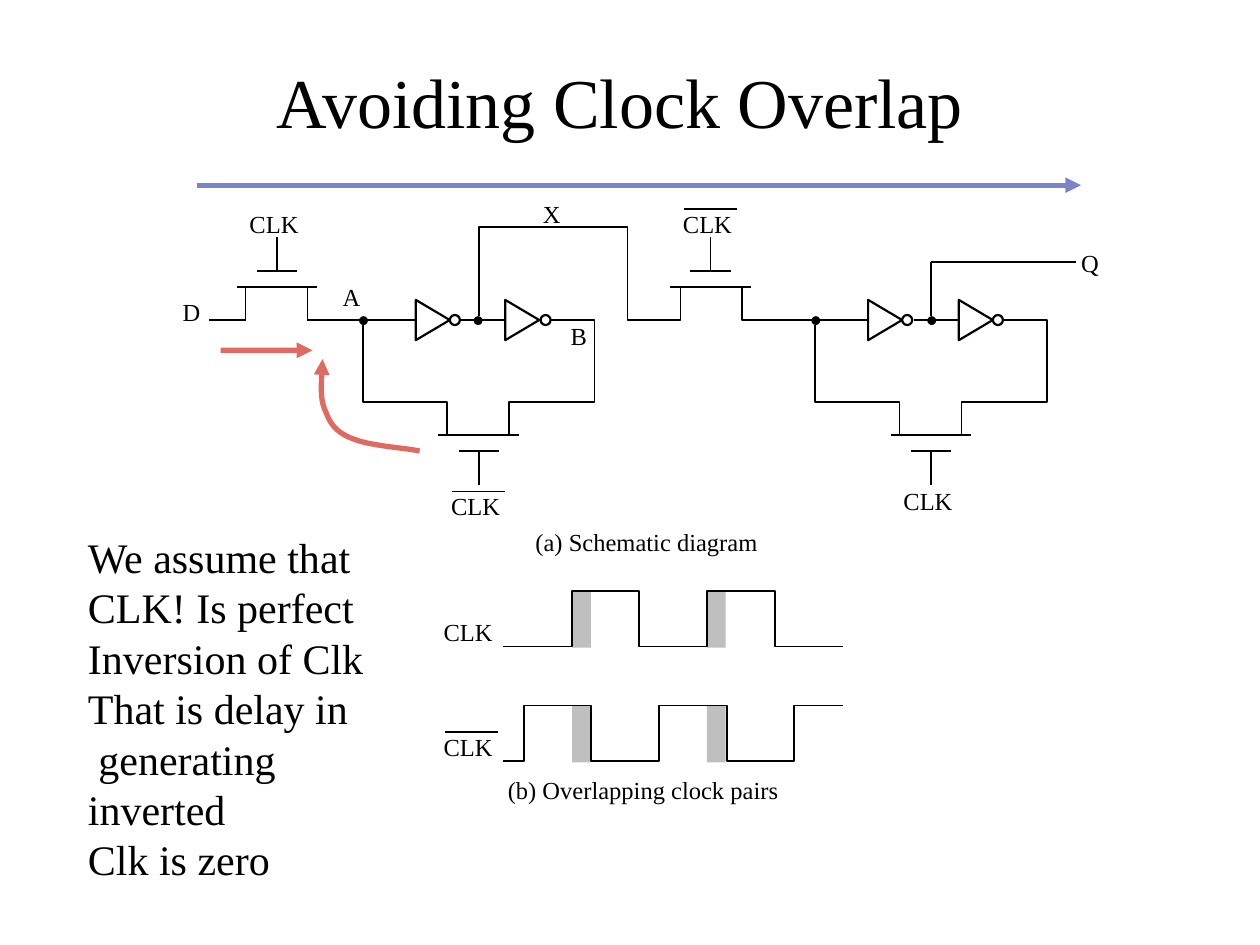
"""Build the slide on avoiding clock overlap in a two-latch register."""
from lxml import etree
from pptx import Presentation
from pptx import util as u
from pptx.dml.color import RGBColor
from pptx.enum import shapes, text
from pptx.oxml.ns import qn

PX = 9144
BLACK, WHITE, GREY, RED, BLUE = "000000", "FFFFFF", "BFBFBF", "D01608", "7B84C6"
THIN, THICK, BOLD = 0.88, 1.25, 3

prs = Presentation()
prs.slide_width, prs.slide_height = 1000 * PX, 750 * PX
s = prs.slides.add_slide(prs.slide_layouts[6])


def paint(sp, fill=None, line=None, width=THIN, alpha=None, arrow=False):
    if hasattr(sp, "fill"):
        if fill:
            sp.fill.solid()
            sp.fill.fore_color.rgb = RGBColor.from_string(fill)
        else:
            sp.fill.background()
    if line:
        sp.line.color.rgb = RGBColor.from_string(line)
        sp.line.width = u.Pt(width)
    else:
        sp.line.fill.background()
    ln = sp.element.spPr.find(qn("a:ln"))
    if alpha:
        etree.SubElement(ln.find(".//" + qn("a:srgbClr")), qn("a:alpha"), val=str(alpha * 1000))
    if arrow:
        etree.SubElement(ln, qn("a:tailEnd"), type="triangle")
    etree.SubElement(sp.element.spPr, qn("a:effectLst"))


def write(words, x, y, w, h, size=14, inset=(0, 0), wrap=False,
          align=text.PP_ALIGN.LEFT, anchor=text.MSO_ANCHOR.TOP):
    tf = s.shapes.add_textbox(x * PX, y * PX, w * PX, h * PX).text_frame
    tf.word_wrap, tf.vertical_anchor = wrap, anchor
    tf.margin_left = tf.margin_right = inset[0] * PX
    tf.margin_top = tf.margin_bottom = inset[1] * PX
    for i, row in enumerate(words.split("\n")):
        p = tf.add_paragraph() if i else tf.paragraphs[0]
        p.alignment = align
        r = p.add_run()
        r.text = row
        r.font.size, r.font.name = u.Pt(size), "Times New Roman"
        r.font.color.rgb = RGBColor.from_string(BLACK)


write("Avoiding Clock Overlap", 67, 17, 850, 125, size=40, inset=(10, 5), wrap=True,
      align=text.PP_ALIGN.CENTER, anchor=text.MSO_ANCHOR.MIDDLE)

for top in (469, 560):
    for left in (454, 561):
        paint(s.shapes.add_shape(shapes.MSO_SHAPE.RECTANGLE, left * PX, top * PX, 15 * PX, 45 * PX), GREY)

strokes = [
    (THIN, [(166, 254), (195, 254)]),
    (THIN, [(195, 228), (195, 254)]),
    (THIN, [(244, 254), (244, 228)]),
    (THIN, [(244, 254), (330, 254)]),
    (THIN, [(540, 228), (540, 254), (498, 254), (498, 180), (380, 180), (380, 251)]),
    (THIN, [(589, 228), (589, 254), (689, 254)]),
    (THIN, [(739, 251), (739, 208)]),
    (THIN, [(739, 208), (854, 208)]),
]
for x in (0, 359):
    strokes += [
        (THIN, [(x + 366, 254), (x + 401, 254)]),
        (THIN, [(x + 288, 258), (x + 288, 319), (x + 355, 319), (x + 355, 345)]),
        (THIN, [(x + 404, 345), (x + 404, 319), (x + 472, 319), (x + 472, 254), (x + 437, 254)]),
    ]
for x, y, side in ((220, 228, -1), (564, 228, -1), (380, 345, 1), (739, 345, 1)):
    gate = y + 13 * side
    strokes += [
        (THICK, [(x - 32, y), (x + 32, y)]),
        (THICK, [(x - 16, gate), (x + 16, gate)]),
        (THIN, [(x, gate + 27 * side), (x, gate)]),
    ]
for low, high, edges in ((513, 469, (454, 507, 561, 615)), (604, 560, (416, 469, 523, 577, 630))):
    wave, level = [(399, low)], low
    for x in edges:
        wave.append((x, level))
        level = low + high - level
        wave.append((x, level))
    strokes.append((THIN, wave + [(669, level)]))

for x, y, barred in ((198, 166, False), (717, 386, False), (352, 490, False),
                     (358, 390, True), (352, 581, True), (542, 166, True)):
    write("CLK", x, y, 39, 23)
    if barred:
        strokes.append((THIN, [(x + 1, y), (x + 43, y)]))

for x in (330, 401, 689, 761):
    strokes.append((THICK, [(x, 270), (x + 27, 254), (x, 238), (x, 270)]))

for width, points in strokes:
    if len(points) == 2:
        (x1, y1), (x2, y2) = points
        sp = s.shapes.add_connector(shapes.MSO_CONNECTOR.STRAIGHT, x1 * PX, y1 * PX, x2 * PX, y2 * PX)
    else:
        fb = s.shapes.build_freeform(*points[0], scale=PX)
        fb.add_line_segments(points[1:], close=points[0] == points[-1])
        sp = fb.convert_to_shape()
    paint(sp, line=BLACK, width=width)

for x in (357, 429, 716, 788):
    paint(s.shapes.add_shape(shapes.MSO_SHAPE.OVAL, x * PX, 250 * PX, 8 * PX, 8 * PX), WHITE, BLACK, THICK)
for x in (285, 376, 644, 736):
    paint(s.shapes.add_shape(shapes.MSO_SHAPE.OVAL, x * PX, 251 * PX, 7 * PX, 7 * PX), BLACK)

for words, x, y, w in (("A", 272, 224, 14), ("B", 453, 255, 13), ("X", 431, 158, 14),
                       ("D", 145, 236, 14), ("Q", 858, 197, 14),
                       ("(a) Schematic diagram", 425, 418, 177),
                       ("(b) Overlapping clock pairs", 403, 615, 215)):
    write(words, x, y, w, 23)

for x1, x2, y, color, alpha in ((175, 248, 278, RED, 64), (156, 858, 147, BLUE, None)):
    sp = s.shapes.add_connector(shapes.MSO_CONNECTOR.STRAIGHT, x1 * PX, y * PX, x2 * PX, y * PX)
    paint(sp, line=color, width=BOLD, alpha=alpha, arrow=True)

fb = s.shapes.build_freeform(333, 358, scale=PX)
fb.add_line_segments([(325, 356), (295, 354), (282, 349), (270, 345), (263, 339), (259, 328),
                      (254, 318), (255, 301), (256, 285)], close=False)
feedback = fb.convert_to_shape()
segments = list(feedback.element.iter(qn("a:lnTo")))
for i in range(0, len(segments), 3):
    curve = etree.Element(qn("a:cubicBezTo"))
    segments[i].addprevious(curve)
    for seg in segments[i:i + 3]:
        curve.append(seg[0])
        seg.getparent().remove(seg)
paint(feedback, line=RED, width=BOLD, alpha=64, arrow=True)

write("We assume that\nCLK! Is perfect\nInversion of Clk\nThat is delay in\n generating inverted\nClk is zero",
      60, 417, 286, 250, size=24, inset=(10, 5))

prs.save("out.pptx")
